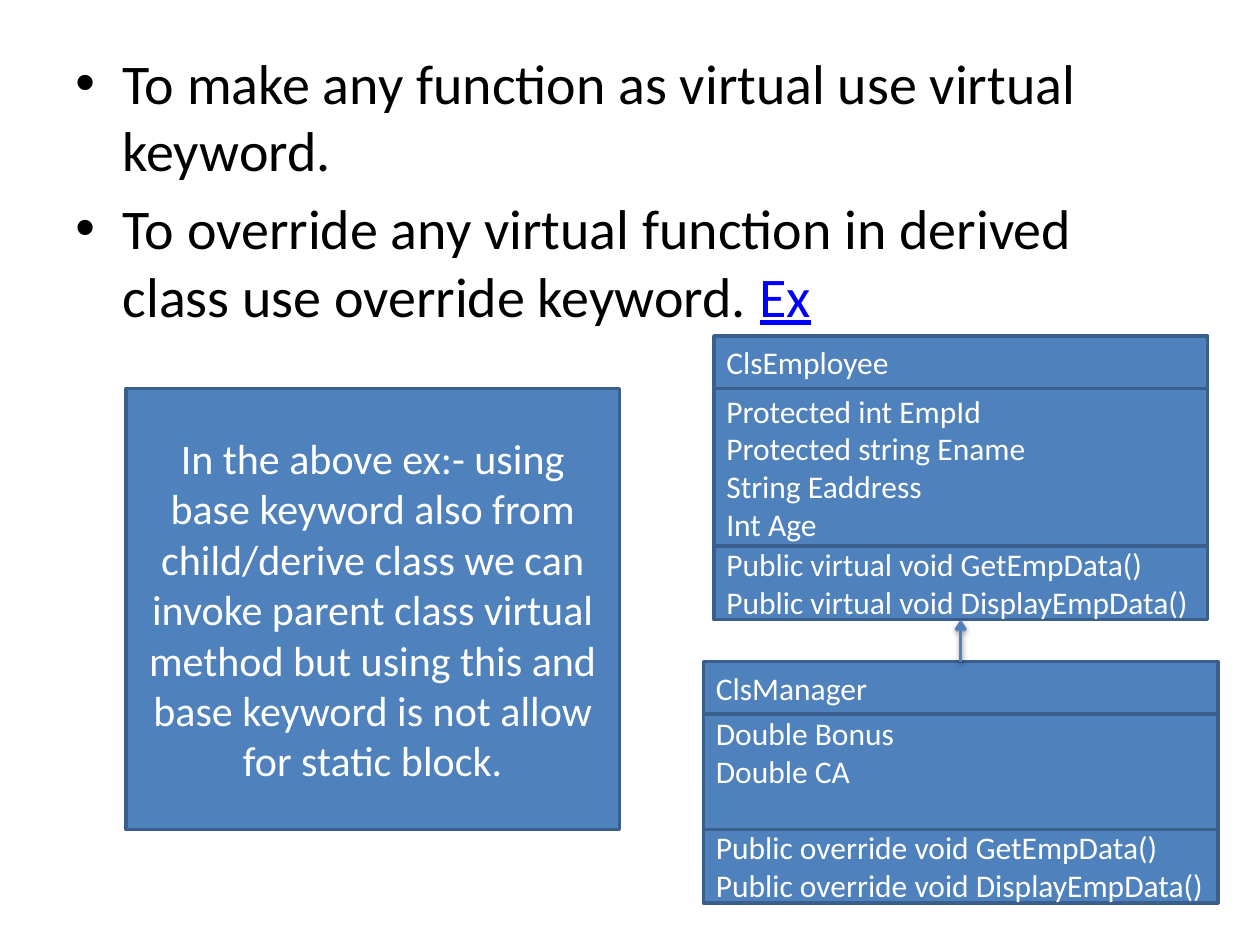
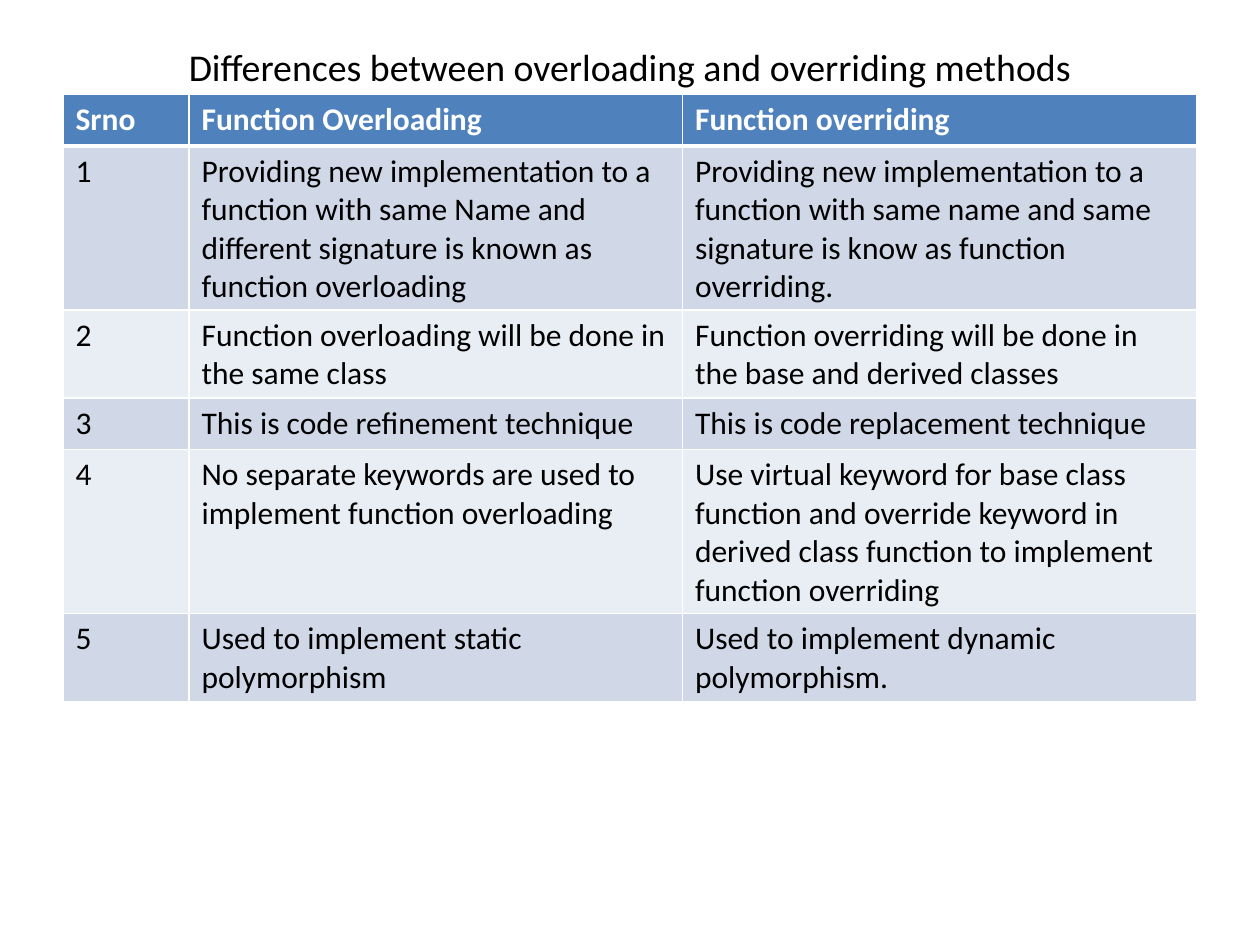
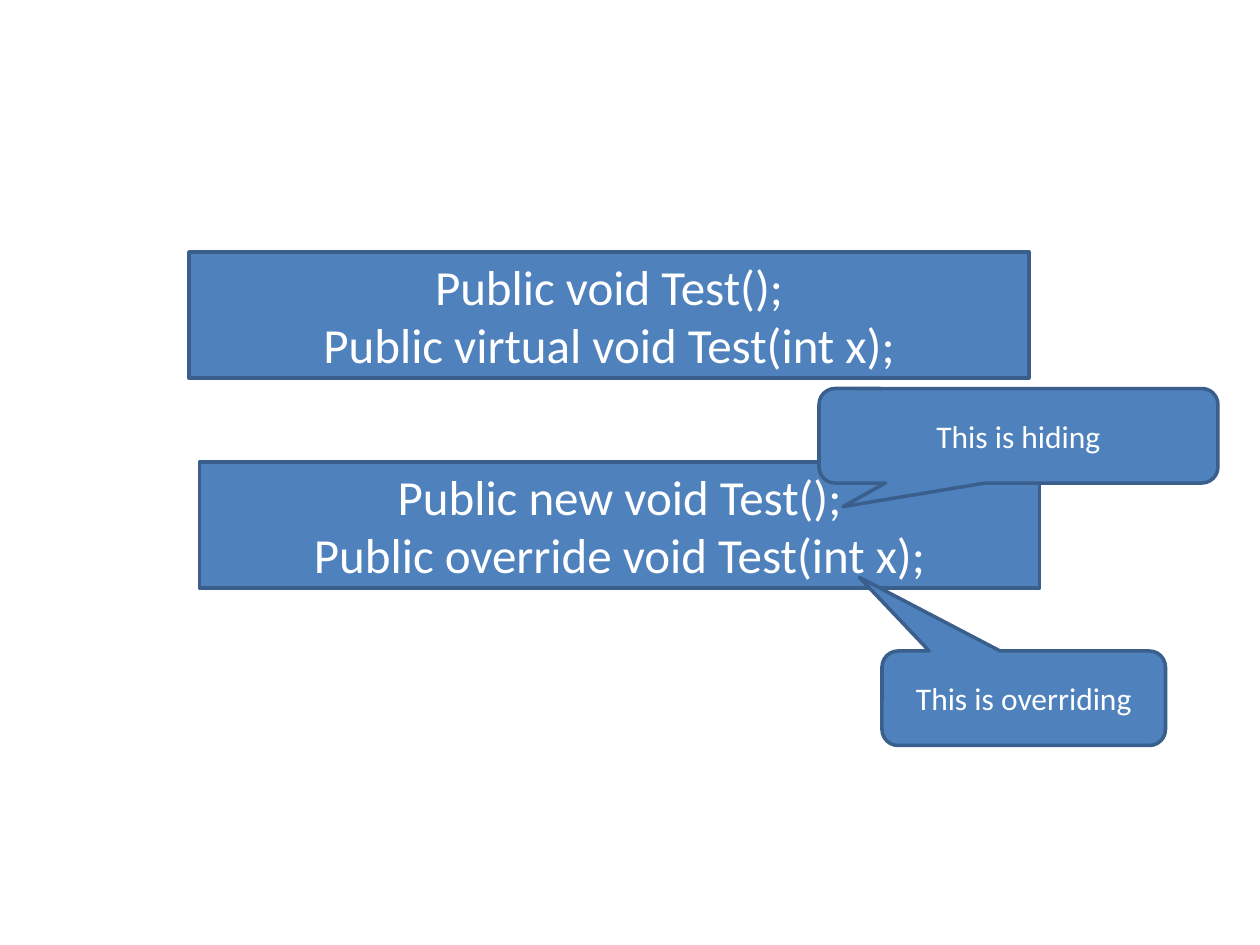
from lxml import etree
from pptx import Presentation
from pptx.dml.color import RGBColor
from pptx.enum.shapes import MSO_CONNECTOR, MSO_SHAPE
from pptx.enum.text import MSO_ANCHOR, PP_ALIGN
from pptx.oxml.ns import qn
from pptx.util import Emu, Pt

RECT = MSO_SHAPE.RECTANGLE
CALLOUT = MSO_SHAPE.ROUNDED_RECTANGULAR_CALLOUT
STRAIGHT = MSO_CONNECTOR.STRAIGHT
LEFT, CENTER = PP_ALIGN.LEFT, PP_ALIGN.CENTER
TOP, MIDDLE = MSO_ANCHOR.TOP, MSO_ANCHOR.MIDDLE

EMU_PER_PX = 7620
FONT = "Calibri"
COLORS = {
    "blue": "4F81BD",
    "edge": "3A5F8C",
    "white": "FFFFFF",
    "black": "000000",
    "link": "0000FF",
    "band_dark": "D0D8E8",
    "band_light": "E9EDF4",
}


def px(n):
    return Emu(n * EMU_PER_PX)


def rgb(name):
    return RGBColor.from_string(COLORS[name])


def add(parent, tag, **attrs):
    return etree.SubElement(parent, qn(tag), {k: str(v) for k, v in attrs.items()})


class Deck:
    def __init__(self, width, height):
        self.prs = Presentation()
        self.prs.slide_width, self.prs.slide_height = px(width), px(height)
        self.s = None

    def new_slide(self):
        self.s = self.prs.slides.add_slide(self.prs.slide_layouts[6])

    def run(self, p, text, size, color, bold=False, underline=False):
        r = p.add_run()
        r.text = text
        r.font.name, r.font.size = FONT, Pt(size)
        r.font.bold, r.font.underline = bold, underline
        r.font.color.rgb = rgb(color)

    def lines(self, tf, lines, size, color, align):
        for i, line in enumerate(lines):
            p = tf.add_paragraph() if i else tf.paragraphs[0]
            p.alignment = align
            self.run(p, line, size, color)

    def textbox(self, x, y, w, h, anchor):
        tf = self.s.shapes.add_textbox(px(x), px(y), px(w), px(h)).text_frame
        tf.word_wrap = True
        tf.vertical_anchor = anchor
        return tf

    def title(self, text):
        tf = self.textbox(60, 36, 1080, 54, MIDDLE)
        self.lines(tf, [text], 21.6, "black", CENTER)

    def bullets(self, x, y, w, h, items, size):
        tf = self.textbox(x, y, w, h, TOP)
        for i, runs in enumerate(items):
            p = tf.add_paragraph() if i else tf.paragraphs[0]
            pPr = p._p.get_or_add_pPr()
            pPr.set("marL", str(px(45)))
            pPr.set("indent", str(px(-45)))
            add(pPr, "a:buFont", typeface="Arial")
            add(pPr, "a:buChar", char="•")
            p.space_before = Pt(size * 0.2 if i else 0)
            for text, color, underline in runs:
                self.run(p, text, size, color, underline=underline)

    def box(self, x, y, w, h, lines, size=18, align=CENTER, shape=RECT, adj=()):
        sp = self.s.shapes.add_shape(shape, px(x), px(y), px(w), px(h))
        sp.shadow.inherit = False
        sp.fill.solid()
        sp.fill.fore_color.rgb = rgb("blue")
        sp.line.color.rgb = rgb("edge")
        sp.line.width = Pt(2)
        for i, value in enumerate(adj):
            sp.adjustments[i] = value
        tf = sp.text_frame
        tf.word_wrap = True
        tf.vertical_anchor = MIDDLE
        self.lines(tf, lines, size, "white", align)
        return sp

    def class_box(self, x, y, w, sections):
        parts = []
        for h, lines in sections:
            parts.append(self.box(x, y, w, h, lines, align=LEFT))
            y += h
        return parts

    def arrow(self, start, start_site, end, end_site):
        c = self.s.shapes.add_connector(STRAIGHT, 0, 0, 0, 0)
        c.begin_connect(start, start_site)
        c.end_connect(end, end_site)
        c.line.color.rgb = rgb("blue")
        c.line.width = Pt(2)
        add(c.line._get_or_add_ln(), "a:tailEnd", type="arrow")
        effects = add(c._element.spPr, "a:effectLst")
        shadow = add(effects, "a:outerShdw", blurRad=Pt(3.1), dist=Pt(1.6),
                     dir=5400000, rotWithShape=0)
        add(add(shadow, "a:srgbClr", val=COLORS["black"]), "a:alpha", val=38000)

    def borders(self, cell, **widths):
        tcPr = cell._tc.get_or_add_tcPr()
        for side in "LRTB":
            ln = add(tcPr, f"a:ln{side}", w=Pt(widths.get(side, 1)))
            add(add(ln, "a:solidFill"), "a:srgbClr", val=COLORS["white"])

    def table(self, x, y, widths, row_h, rows):
        table = self.s.shapes.add_table(
            len(rows), len(widths), px(x), px(y),
            px(sum(widths)), px(row_h * len(rows))).table
        table.first_row = table.horz_banding = False
        for col, w in zip(table.columns, widths):
            col.width = px(w)
        for i, row in enumerate(rows):
            table.rows[i].height = px(row_h)
            header = i == 0
            fill = "blue" if header else ("band_light", "band_dark")[i % 2]
            for j, text in enumerate(row):
                cell = table.cell(i, j)
                self.borders(cell, B=3 if header else 1, T=3 if i == 1 else 1)
                cell.fill.solid()
                cell.fill.fore_color.rgb = rgb(fill)
                self.run(cell.text_frame.paragraphs[0], text, 18,
                         "white" if header else "black", bold=header)


def virtual_slide(deck):
    deck.new_slide()
    deck.bullets(60, 40, 1080, 764, [
        [("To make any function as virtual use virtual keyword.", "black", False)],
        [("To override any virtual function in derived class use override keyword. ",
          "black", False), ("Ex", "link", True)],
    ], 32)
    employee = deck.class_box(680, 320, 470, [
        (50, ["ClsEmployee"]),
        (150, ["Protected int EmpId", "Protected string Ename",
               "String Eaddress", "Int Age"]),
        (70, ["Public virtual void GetEmpData()",
              "Public virtual void DisplayEmpData()"]),
    ])
    manager = deck.class_box(670, 630, 490, [
        (50, ["ClsManager"]),
        (110, ["Double Bonus", "Double CA"]),
        (70, ["Public override void GetEmpData()",
              "Public override void DisplayEmpData()"]),
    ])
    fields = manager[1].text_frame
    fields.vertical_anchor = TOP
    fields.margin_top = 0
    deck.arrow(manager[0], 0, employee[-1], 2)
    deck.box(120, 370, 470, 420, [
        "In the above ex:- using base keyword also from child/derive class we can "
        "invoke parent class virtual method but using this and base keyword is not "
        "allow for static block."], size=24)


def differences_slide(deck):
    deck.new_slide()
    deck.title("Differences between overloading and overriding methods")
    deck.table(60, 90, [120, 470, 490], 49, [
        ("Srno", "Function Overloading", "Function overriding"),
        ("1",
         "Providing new implementation to a function with same Name and different "
         "signature is known as function overloading",
         "Providing new implementation to a function with same name and same "
         "signature is know as function overriding."),
        ("2",
         "Function overloading will be done in the same class",
         "Function overriding will be done in the base and derived classes"),
        ("3", "This is code refinement technique",
         "This is code replacement technique"),
        ("4",
         "No separate keywords are used to implement function overloading",
         "Use virtual keyword for base class function and override keyword in "
         "derived class function to implement function overriding"),
        ("5", "Used to implement static polymorphism",
         "Used to implement dynamic polymorphism."),
    ])


def hiding_slide(deck):
    deck.new_slide()
    deck.box(180, 240, 800, 120,
             ["Public void Test();", "Public virtual void Test(int x);"], size=28)
    deck.box(190, 440, 800, 120,
             ["Public new void Test();", "Public override void Test(int x);"], size=28)
    deck.box(780, 370, 380, 90, ["This is hiding"],
             shape=CALLOUT, adj=(-0.44, 0.75, 0.17))
    deck.box(840, 620, 270, 90, ["This is overriding"],
             shape=CALLOUT, adj=(-0.58, -1.28, 0.17))


def main():
    deck = Deck(1200, 900)
    virtual_slide(deck)
    differences_slide(deck)
    hiding_slide(deck)
    deck.prs.save("out.pptx")


if __name__ == "__main__":
    main()
